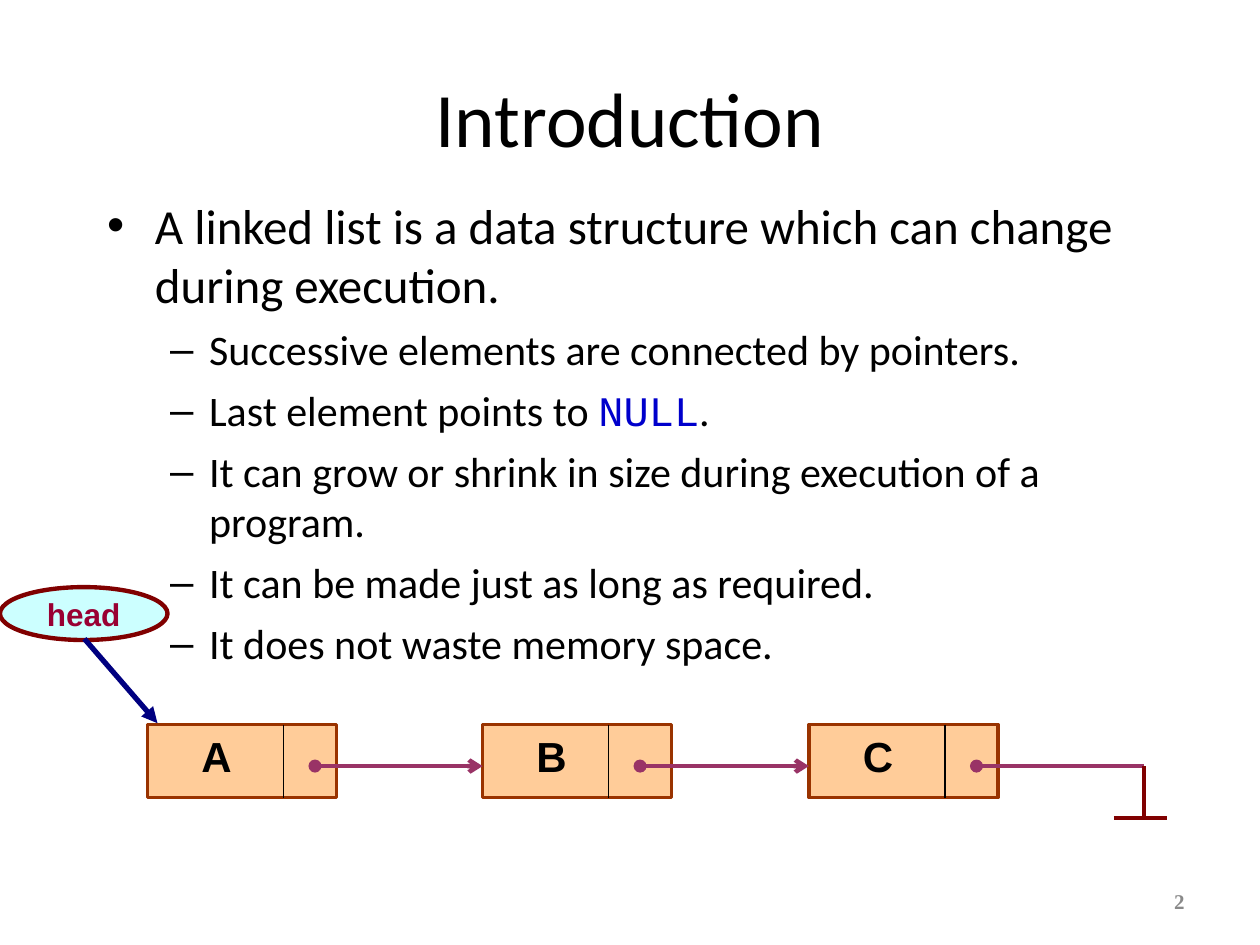
"""Build the introductory slide on linked lists."""
from dataclasses import dataclass
from typing import NamedTuple, Optional

from lxml import etree
from pptx import Presentation
from pptx.dml.color import RGBColor
from pptx.enum.shapes import MSO_CONNECTOR, MSO_SHAPE
from pptx.enum.text import MSO_ANCHOR, MSO_AUTO_SIZE, PP_ALIGN
from pptx.oxml.ns import qn
from pptx.shapes.autoshape import Shape
from pptx.slide import Slide
from pptx.text.text import _Paragraph
from pptx.util import Inches, Pt

STRAIGHT = MSO_CONNECTOR.STRAIGHT
RECTANGLE, OVAL = MSO_SHAPE.RECTANGLE, MSO_SHAPE.OVAL
MIDDLE, TOP = MSO_ANCHOR.MIDDLE, MSO_ANCHOR.TOP
CENTER, LEFT, RIGHT = PP_ALIGN.CENTER, PP_ALIGN.LEFT, PP_ALIGN.RIGHT
NO_AUTOFIT = MSO_AUTO_SIZE.NONE


@dataclass(frozen=True)
class Theme:
    text: str = "000000"
    keyword: str = "0000CC"
    page: str = "898989"
    node_fill: str = "FFCC99"
    node_line: str = "993300"
    link: str = "993366"
    ground: str = "800000"
    head_fill: str = "CCFFFF"
    head_text: str = "990033"
    head_arrow: str = "000080"
    body_font: str = "Calibri"
    code_font: str = "Courier New"
    label_font: str = "Arial"
    page_font: str = "Times New Roman"
    title_size: int = 44
    lead_size: int = 28
    point_size: int = 24
    node_size: int = 24
    head_size: int = 18
    page_size: int = 12


class Box(NamedTuple):
    left: float
    top: float
    width: float
    height: float

    def emu(self) -> list[int]:
        return [Inches(length) for length in self]


class Node(NamedTuple):
    label: str
    left: float
    divider: float


THEME = Theme()
NODES = [Node("A", 1.17, 2.25), Node("B", 3.83, 4.83), Node("C", 6.42, 7.5)]
NODE_TOP, NODE_WIDTH, NODE_HEIGHT = 5.75, 1.5, 0.58
LINK_Y, GROUND_X, GROUND_Y = 6.08, 9.08, 6.49
LEAD = "A linked list is a data structure which can change during execution."
POINTS = [
    ["Successive elements are connected by pointers."],
    ["Last element points to ", "NULL", "."],
    ["It can grow or shrink in size during execution of a program."],
    ["It can be made just as long as required."],
    ["It does not waste memory space."],
]


def add_text(paragraph: _Paragraph, text: str, *, size: int, font: str = THEME.body_font,
             color: str = THEME.text, bold: bool = False,
             align: Optional[PP_ALIGN] = None) -> None:
    run = paragraph.add_run()
    run.text = text
    run.font.size, run.font.name, run.font.bold = Pt(size), font, bold
    run.font.color.rgb = RGBColor.from_string(color)
    if align is not None:
        paragraph.alignment = align


def add_label(slide: Slide, box: Box, text: str, anchor: MSO_ANCHOR, **text_format) -> None:
    frame = slide.shapes.add_textbox(*box.emu()).text_frame
    frame.word_wrap, frame.vertical_anchor = True, anchor
    add_text(frame.paragraphs[0], text, **text_format)


def add_outlined(slide: Slide, preset: MSO_SHAPE, box: Box, fill: str, line: str,
                 width: float) -> Shape:
    shape = slide.shapes.add_shape(preset, *box.emu())
    shape.shadow.inherit = False
    shape.fill.solid()
    shape.fill.fore_color.rgb = RGBColor.from_string(fill)
    shape.line.color.rgb = RGBColor.from_string(line)
    shape.line.width = Pt(width)
    return shape


def add_line(slide: Slide, start: tuple[float, float], end: tuple[float, float], color: str,
             width: float, head: str = "none", tail: str = "none") -> None:
    connector = slide.shapes.add_connector(STRAIGHT, *map(Inches, start + end))
    connector.line.color.rgb = RGBColor.from_string(color)
    connector.line.width = Pt(width)
    properties = connector._element.spPr
    outline = properties.find(qn("a:ln"))
    for tag, kind in (("a:headEnd", head), ("a:tailEnd", tail)):
        etree.SubElement(outline, qn(tag), type=kind)
    etree.SubElement(properties, qn("a:effectLst"))


def set_indent(paragraph: _Paragraph, margin: float, hanging: float) -> None:
    properties = paragraph._p.get_or_add_pPr()
    properties.set("marL", str(Inches(margin)))
    properties.set("indent", str(Inches(-hanging)))


def place(placeholder: Shape, box: Box) -> None:
    placeholder.left, placeholder.top, placeholder.width, placeholder.height = box.emu()
    placeholder.text_frame.auto_size = NO_AUTOFIT


def fill_placeholders(slide: Slide) -> None:
    title, body = slide.shapes.title, slide.placeholders[1]
    place(title, Box(0.5, 0.3, 9, 1.25))
    title.text_frame.vertical_anchor = MIDDLE
    add_text(title.text_frame.paragraphs[0], "Introduction", size=THEME.title_size, align=CENTER)

    place(body, Box(0.75, 1.5, 8.75, 5.17))
    lead = body.text_frame.paragraphs[0]
    lead.space_before = Pt(0)
    set_indent(lead, 0.38, 0.38)
    add_text(lead, LEAD, size=THEME.lead_size)
    for pieces in POINTS:
        point = body.text_frame.add_paragraph()
        point.level, point.space_before = 1, Pt(6)
        set_indent(point, 0.81, 0.31)
        for piece in pieces:
            accent = {"font": THEME.code_font, "color": THEME.keyword} if piece == "NULL" else {}
            add_text(point, piece, size=THEME.point_size, **accent)


def draw_list(slide: Slide) -> None:
    for node in NODES:
        add_outlined(slide, RECTANGLE, Box(node.left, NODE_TOP, NODE_WIDTH, NODE_HEIGHT),
                     THEME.node_fill, THEME.node_line, 2)
    targets = [node.left for node in NODES[1:]] + [GROUND_X]
    for node, target in zip(NODES, targets):
        add_line(slide, (node.divider + 0.25, LINK_Y), (target, LINK_Y), THEME.link, 2.5,
                 head="oval", tail="none" if target == GROUND_X else "arrow")
        add_line(slide, (node.divider, NODE_TOP), (node.divider, NODE_TOP + NODE_HEIGHT),
                 THEME.text, 0.75)
        add_label(slide, Box(node.left + 0.33, NODE_TOP, 0.67, 0.5), node.label, TOP,
                  size=THEME.node_size, font=THEME.label_font, bold=True, align=LEFT)
    add_line(slide, (GROUND_X, LINK_Y), (GROUND_X, GROUND_Y), THEME.ground, 2.5)
    add_line(slide, (8.84, GROUND_Y), (9.26, GROUND_Y), THEME.ground, 2.5)


def draw_head(slide: Slide) -> None:
    head = add_outlined(slide, OVAL, Box(0, 4.66, 1.33, 0.42), THEME.head_fill, THEME.ground, 2.5)
    head.text_frame.word_wrap, head.text_frame.vertical_anchor = False, MIDDLE
    add_text(head.text_frame.paragraphs[0], "head", size=THEME.head_size, font=THEME.label_font,
             color=THEME.head_text, bold=True, align=CENTER)
    add_line(slide, (0.67, 5.07), (1.25, 5.74), THEME.head_arrow, 3, tail="triangle")


def main() -> None:
    deck = Presentation()
    deck.slide_width, deck.slide_height = Inches(10), Inches(7.5)
    slide = deck.slides.add_slide(deck.slide_layouts[1])
    fill_placeholders(slide)
    add_label(slide, Box(7.17, 6.95, 2.33, 0.4), "2", MIDDLE, size=THEME.page_size,
              font=THEME.page_font, color=THEME.page, bold=True, align=RIGHT)
    draw_list(slide)
    draw_head(slide)
    deck.save("out.pptx")


if __name__ == "__main__":
    main()
